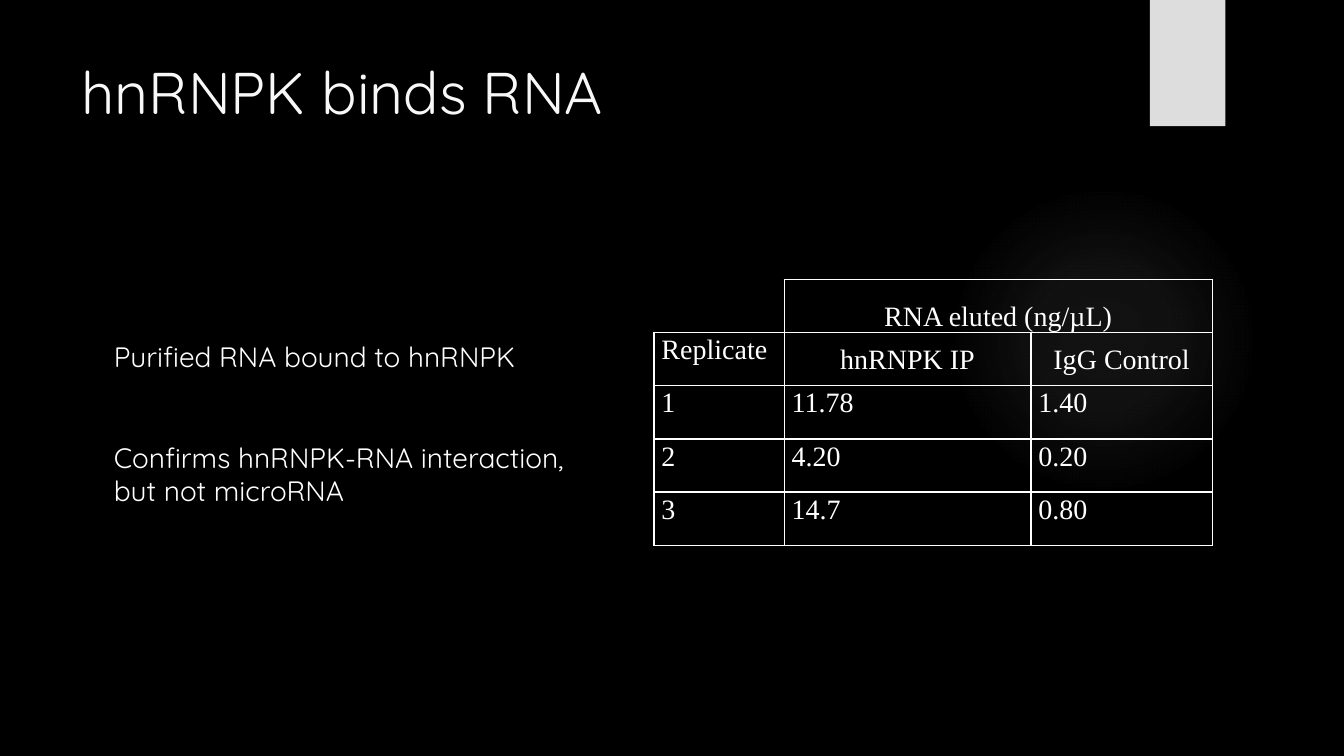
from lxml import etree
from pptx import Presentation
from pptx.dml.color import RGBColor
from pptx.enum.shapes import MSO_SHAPE
from pptx.enum.text import MSO_ANCHOR, PP_ALIGN
from pptx.oxml import parse_xml
from pptx.util import Cm, Pt

OVAL, RECT = MSO_SHAPE.OVAL, MSO_SHAPE.RECTANGLE
TOP, MIDDLE, BOTTOM = MSO_ANCHOR.TOP, MSO_ANCHOR.MIDDLE, MSO_ANCHOR.BOTTOM
LEFT, CENTER = PP_ALIGN.LEFT, PP_ALIGN.CENTER

COLORS = {"black": "000000", "white": "FFFFFF", "title": "F8F8F8",
          "tab": "DDDDDD", "glow": "EBEBEB"}
SANS, SERIF = "Quicksand", "Times New Roman"
NS = "http://schemas.openxmlformats.org/drawingml/2006/main"

COL_WIDTHS = (3.28, 6.22, 4.57)
ROW_HEIGHT = 1.34
ROWS = (
    ("", "RNA eluted (ng/µL)", ""),
    ("Replicate", "hnRNPK IP", "IgG Control"),
    ("1", "11.78", "1.40"),
    ("2", "4.20", "0.20"),
    ("3", "14.7", "0.80"),
)


def rgb(name):
    return RGBColor.from_string(COLORS[name])


def add_run(p, text, size, font, color):
    r = p.add_run()
    r.text = text
    r.font.size = Pt(size)
    r.font.name = font
    r.font.color.rgb = rgb(color)


def add_shape(s, kind, x, y, w, h, color):
    sp = s.shapes.add_shape(kind, Cm(x), Cm(y), Cm(w), Cm(h))
    sp.shadow.inherit = False
    sp.fill.solid()
    sp.fill.fore_color.rgb = rgb(color)
    sp.line.fill.background()
    return sp


def add_glow(s, x, y, size):
    """Circle that fades out from its centre."""
    sp = add_shape(s, OVAL, x, y, size, size, "glow")
    stops = "".join(
        f'<a:gs pos="{pos * 1000}"><a:srgbClr val="{COLORS["glow"]}">'
        f'<a:alpha val="{alpha * 1000}"/></a:srgbClr></a:gs>'
        for pos, alpha in ((0, 7), (36, 6), (69, 0), (100, 0)))
    gradient = parse_xml(
        f'<a:gradFill xmlns:a="{NS}" rotWithShape="1"><a:gsLst>{stops}</a:gsLst>'
        '<a:path path="circle"><a:fillToRect l="50000" t="50000" r="50000" '
        'b="50000"/></a:path></a:gradFill>')
    spPr = sp.element.spPr
    spPr.replace(spPr.find(f"{{{NS}}}solidFill"), gradient)


def add_text(s, x, y, w, h, lines, size, color):
    """Lines are pairs of text and space before in points."""
    tf = s.shapes.add_textbox(Cm(x), Cm(y), Cm(w), Cm(h)).text_frame
    tf.word_wrap = True
    for i, (text, space) in enumerate(lines):
        p = tf.paragraphs[0] if i == 0 else tf.add_paragraph()
        p.space_before = Pt(space)
        add_run(p, text, size, SANS, color)


def set_borders(cell, visible):
    tcPr = cell._tc.get_or_add_tcPr()
    for i, side in enumerate("LRTB"):
        ln = etree.Element(f"{{{NS}}}ln{side}", w=str(Pt(1)))
        if side in visible:
            fill = etree.SubElement(ln, f"{{{NS}}}solidFill")
            etree.SubElement(fill, f"{{{NS}}}srgbClr", val=COLORS["white"])
        else:
            etree.SubElement(ln, f"{{{NS}}}noFill")
        tcPr.insert(i, ln)


def fill_cell(cell, text, anchor, align):
    cell.fill.background()
    cell.margin_left = cell.margin_right = Cm(0.19)
    cell.margin_top = cell.margin_bottom = 0
    cell.vertical_anchor = anchor
    if text:
        p = cell.text_frame.paragraphs[0]
        p.alignment = align
        p.line_spacing = 1.07
        add_run(p, text, 20, SERIF, "white")


def add_rna_table(s, x, y):
    table = s.shapes.add_table(len(ROWS), len(COL_WIDTHS), Cm(x), Cm(y),
                               Cm(sum(COL_WIDTHS)), Cm(ROW_HEIGHT * len(ROWS))).table
    table.first_row = table.horz_banding = False
    for column, width in zip(table.columns, COL_WIDTHS):
        column.width = Cm(width)
    for row in table.rows:
        row.height = Cm(ROW_HEIGHT)
    table.cell(0, 1).merge(table.cell(0, 2))
    for i, texts in enumerate(ROWS):
        for j, text in enumerate(texts):
            cell = table.cell(i, j)
            heading = i < 2 and j > 0
            anchor = (BOTTOM, MIDDLE)[i] if heading else TOP
            fill_cell(cell, text, anchor, CENTER if heading else LEFT)
            set_borders(cell, "RB" if i == j == 0 else "LRTB")


def main():
    prs = Presentation()
    prs.slide_width, prs.slide_height = Cm(33.87), Cm(19.05)
    s = prs.slides.add_slide(prs.slide_layouts[6])

    # Background and decoration
    s.background.fill.solid()
    s.background.fill.fore_color.rgb = rgb("black")
    add_glow(s, 23.9, 4.65, 7.82)
    add_shape(s, RECT, 28.98, 0, 1.9, 3.18, "tab")

    # Title
    add_text(s, 1.8, 1.27, 26.14, 3.89, [("hnRNPK binds RNA", 0)], 42, "title")

    # Results table
    add_rna_table(s, 16.48, 7.04)

    # Findings
    add_text(s, 2.62, 8.43, 12.6, 4.52,
             [("Purified RNA bound to hnRNPK", 0),
              ("Confirms hnRNPK-RNA interaction,", 48),
              ("but not microRNA", 0)], 20, "white")

    prs.save("out.pptx")


if __name__ == "__main__":
    main()
